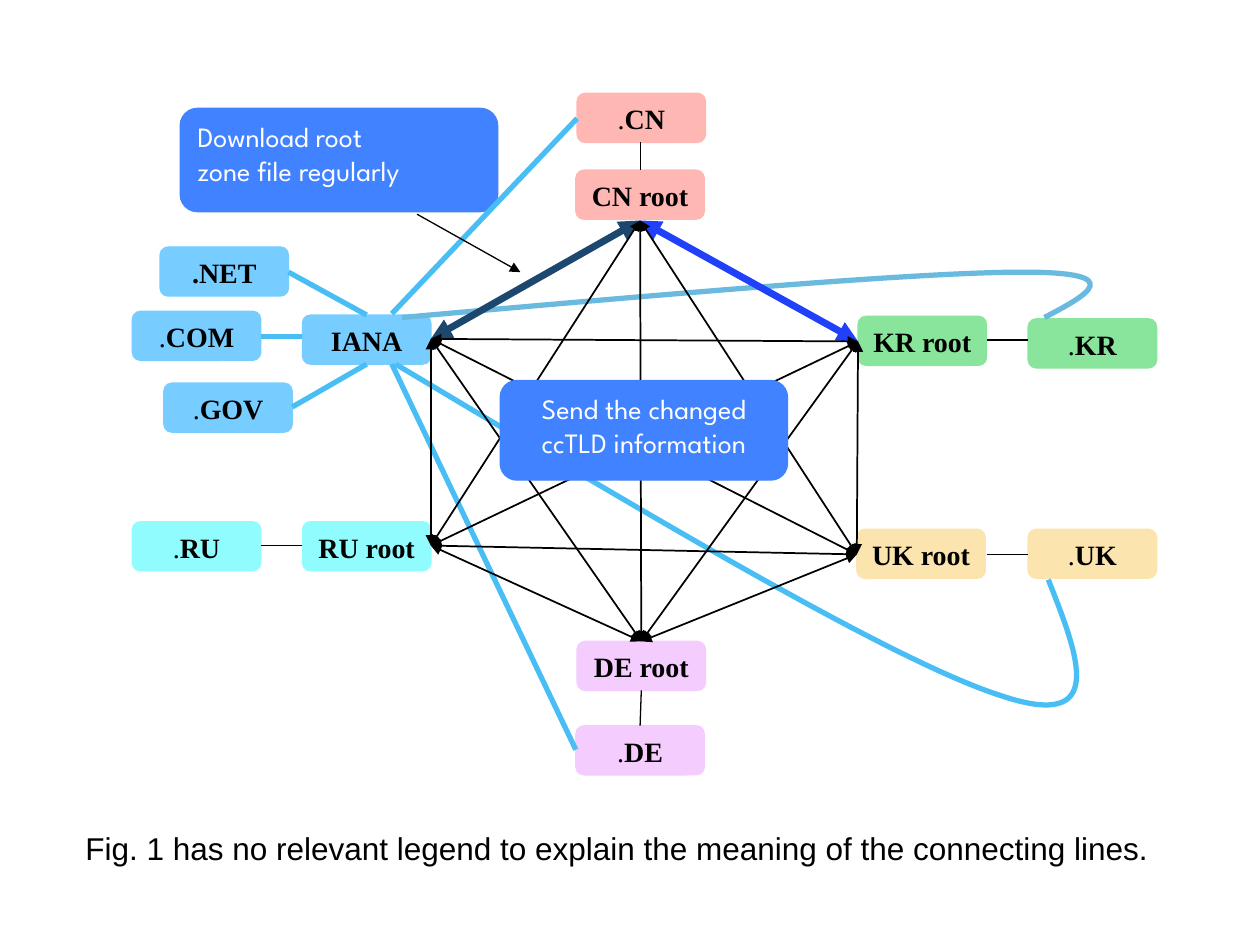
from itertools import combinations
from lxml.etree import SubElement
from pptx import Presentation
from pptx.dml.color import RGBColor as Rgb
from pptx.enum.shapes import MSO_CONNECTOR as Link, MSO_SHAPE as Kind
from pptx.enum.text import MSO_ANCHOR as Anchor, MSO_AUTO_SIZE as Fit, PP_ALIGN as Align
from pptx.oxml.ns import qn
from pptx.util import Inches, Pt

HEX = {
    "sky": "77CDFF", "pink": "FFB7B3", "green": "89E59B", "sand": "FBE4AE",
    "aqua": "90FCFE", "lilac": "F4CCFD", "blue": "4082FF", "white": "FFFFFF",
    "black": "000000", "feed": "49BEF4", "dusk": "69BADE", "royal": "2041F9",
    "navy": "1C4870",
}
FONTS = {
    "node": {"name": "Times New Roman", "size": Pt(16)},
    "call": {"name": "League Spartan", "size": Pt(16)},
    "note": {"name": "Arial", "size": Pt(18)},
}
NODES = [
    ("KR root", 6.81, 2.51, "green"), (".KR", 8.16, 2.53, "green"),
    ("UK root", 6.8, 4.2, "sand"), (".UK", 8.16, 4.2, "sand"),
    (".CN", 4.58, 0.74, "pink"), ("CN root", 4.57, 1.35, "pink"),
    ("RU root", 2.4, 4.14, "aqua"), (".RU", 1.05, 4.14, "aqua"),
    ("DE root", 4.58, 5.09, "lilac"), (".DE", 4.57, 5.76, "lilac"),
    (".NET", 1.27, 1.96, "sky"), (".COM", 1.05, 2.47, "sky"),
    (".GOV", 1.3, 3.04, "sky"), ("IANA", 2.4, 2.5, "sky"),
]
MESH = {
    "CN": (5.08, 1.75), "KR": (6.81, 2.71), "IANA": (3.42, 2.69),
    "RU": (3.42, 4.33), "UK": (6.8, 4.4), "DE": (5.09, 5.09),
}
BOLD = {("CN", "KR"): ("royal", 4), ("CN", "IANA"): ("navy", 4)}
FEEDS = [
    ((2.29, 2.16), (2.91, 2.5)), ((2.07, 2.67), (2.4, 2.67)),
    ((2.32, 3.23), (2.91, 2.89)), ((3.11, 2.49), (4.58, 0.94)),
    ((3.11, 2.89), (4.57, 5.95)),
]
TIES = [
    ((5.08, 1.13), (5.08, 1.35), 0.5), ((5.09, 5.48), (5.08, 5.76), 0.75),
    ((7.83, 4.4), (8.16, 4.4), 1), ((7.83, 2.7), (8.16, 2.7), 1),
    ((2.07, 4.33), (2.4, 4.33), 1),
]


def tint(color):
    """Return the named colour."""
    return Rgb.from_string(HEX[color])


def stroke(shape, color, width):
    """Set the outline of a shape or connector."""
    shape.line.color.rgb = tint(color)
    shape.line.width = Pt(width)


def write(para, text, font, color, bold=False):
    """Add one formatted run to a paragraph."""
    run = para.add_run()
    run.text = text
    for key, value in (FONTS[font] | {"bold": bold}).items():
        setattr(run.font, key, value)
    run.font.color.rgb = tint(color)


def add_box(slide, area, color):
    """Add a rounded box and return its text frame."""
    box = slide.shapes.add_shape(Kind.ROUNDED_RECTANGLE, *map(Inches, area))
    box.shadow.inherit = False
    box.fill.solid()
    box.fill.fore_color.rgb = tint(color)
    stroke(box, color, 0.75)
    frame = box.text_frame
    frame.word_wrap = True
    frame.vertical_anchor = Anchor.TOP
    return frame


def add_node(slide, text, left, top, color):
    """Add a server or domain box with its label."""
    para = add_box(slide, (left, top, 1.02, 0.39), color).paragraphs[0]
    para.alignment = Align.CENTER
    if text[0] == "." and text != ".NET":
        write(para, ".", "node", "black")
        text = text[1:]
    write(para, text, "node", "black", True)


def add_call(slide, area, lines, align):
    """Add a blue callout with one paragraph per line."""
    frame = add_box(slide, area, "blue")
    for num, text in enumerate(lines):
        para = frame.add_paragraph() if num else frame.paragraphs[0]
        para.alignment = align
        write(para, text, "call", "white")


def add_line(slide, start, end, color, width, ends=()):
    """Add a straight line with triangles at the given ends."""
    line = slide.shapes.add_connector(Link.STRAIGHT, *map(Inches, start + end))
    stroke(line, color, width)
    pen = line.line._get_or_add_ln()
    for end in ends:
        SubElement(pen, qn(f"a:{end}"), type="triangle")
    SubElement(line._element.spPr, qn("a:effectLst"))


def add_curve(slide, area, start, bends, color):
    """Add an open Bezier curve inside the given area."""
    left, top, wide, high = map(Inches, area)
    pen = slide.shapes.build_freeform(left, top)
    pen.add_line_segments([(left + wide, top + high)], close=False)
    curve = pen.convert_to_shape()
    curve.shadow.inherit = False
    curve.fill.background()
    stroke(curve, color, 3)
    track = curve._element.xpath(".//a:path")[0]
    for node in list(track):
        track.remove(node)
    for tag, spots in [("moveTo", [start])] + [("cubicBezTo", bend) for bend in bends]:
        step = SubElement(track, qn(f"a:{tag}"))
        for x, y in spots:
            SubElement(step, qn("a:pt"), x=str(Inches(x) - left), y=str(Inches(y) - top))


def add_note(slide, text):
    """Add the caption below the diagram."""
    box = slide.shapes.add_textbox(*map(Inches, (0.58, 6.53, 9, 0.4)))
    box.text_frame.word_wrap = True
    box.text_frame.auto_size = Fit.SHAPE_TO_FIT_TEXT
    write(box.text_frame.paragraphs[0], text, "note", "black")


def main():
    """Build the slide and save it."""
    deck = Presentation()
    deck.slide_width, deck.slide_height = Inches(10), Inches(7.5)
    slide = deck.slides.add_slide(deck.slide_layouts[6])
    for node in NODES:
        add_node(slide, *node)
    add_call(slide, (1.43, 0.86, 2.52, 0.82),
             ["Download root", "zone file regularly"], Align.LEFT)
    for start, end in FEEDS:
        add_line(slide, start, end, "feed", 3)
    add_curve(slide, (3.14, 2.89, 5.41, 2.71), (3.14, 2.89),
              [[(5.1, 4.06), (7.07, 5.24), (7.94, 5.52)],
               [(8.8, 5.81), (8.56, 5.21), (8.32, 4.6)]], "feed")
    add_curve(slide, (3.19, 2.16, 5.46, 0.35), (3.19, 2.52),
              [[(5.23, 2.34), (7.27, 2.16), (8.12, 2.16)],
               [(8.97, 2.16), (8.63, 2.34), (8.29, 2.52)]], "dusk")
    add_line(slide, (3.31, 1.7), (4.13, 2.16), "black", 0.75, ["tailEnd"])
    for start, end, width in TIES:
        add_line(slide, start, end, "black", width)
    for pair in combinations(MESH, 2):
        color, width = BOLD.get(pair, ("black", 1))
        start, end = (MESH[name] for name in pair)
        add_line(slide, start, end, color, width, ["headEnd", "tailEnd"])
    add_call(slide, (3.97, 3.02, 2.28, 0.79),
             ["Send the changed ccTLD information"], Align.CENTER)
    add_note(slide, "Fig. 1 has no relevant legend to explain "
                    "the meaning of the connecting lines.")
    deck.save("out.pptx")


if __name__ == "__main__":
    main()
